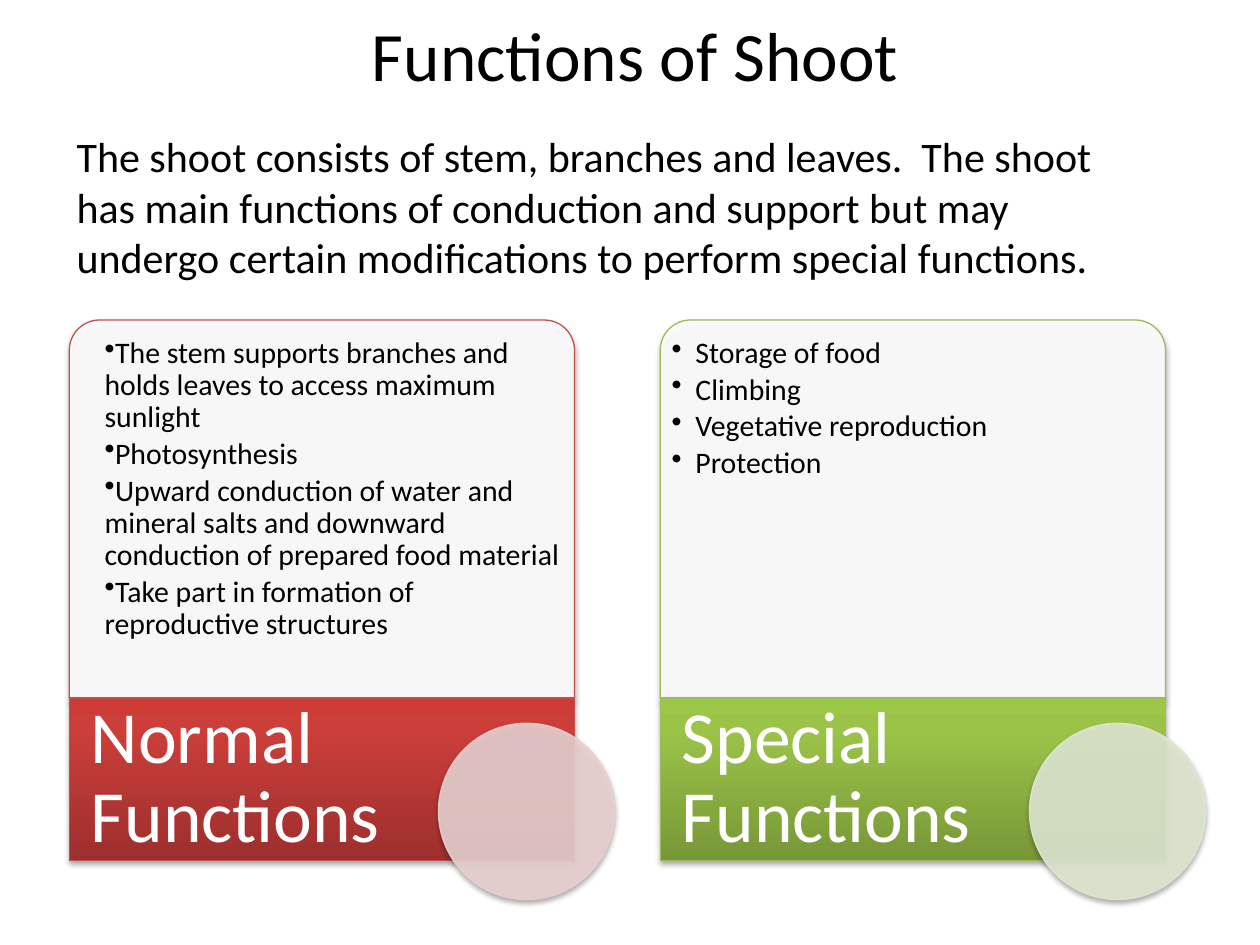
from lxml import etree
from pptx import Presentation
from pptx.dml.color import RGBColor
from pptx.enum import shapes, text
from pptx.oxml import parse_xml
from pptx.oxml.ns import nsdecls, qn
from pptx.util import Inches, Pt

FONT = "Calibri"
COLORS = {"black": "000000", "white": "FFFFFF"}
TITLE = "Functions of Shoot"
INTRO = ("The shoot consists of stem, branches and leaves.  The shoot has main "
         "functions of conduction and support but may undergo certain "
         "modifications to perform special functions.")
CARDS = [
    {"heading": "Normal Functions", "line": "C0504D", "circle": "E8D0D0",
     "gradient": [(0, "9C2F2D"), (80, "CB3E3A"), (100, "CE3B37")], "hanging": 0,
     "points": [
         "The stem supports branches and holds leaves to access maximum sunlight",
         "Photosynthesis",
         "Upward conduction of water and mineral salts and downward conduction "
         "of prepared food material",
         "Take part in formation of reproductive structures"]},
    {"heading": "Special Functions", "line": "9BBB59", "circle": "DEE7D1",
     "gradient": [(0, "779737"), (80, "9BC348"), (100, "9DC746")], "hanging": 0.19,
     "points": ["Storage of food", "Climbing", "Vegetative reproduction",
                "Protection"]},
]
CARD_LEFT, CARD_TOP, CARD_PITCH = 0.55, 2.54, 4.69
CARD_WIDTH, BODY_HEIGHT, BAND_HEIGHT = 4.01, 3.0, 1.29
TEXT_GAP, BULLET_INDENT, CIRCLE_SIZE = 0.07, 0.19, 1.4

deck = Presentation()
deck.slide_width, deck.slide_height = Inches(10), Inches(7.5)
page = deck.slides.add_slide(deck.slide_layouts[6])


def add_text(area, lines, size, color, insets=(0.1, 0.05, 0.1, 0.05),
             anchor=text.MSO_ANCHOR.TOP, align=text.PP_ALIGN.LEFT):
    """Add a wrapped text box with one paragraph for each line."""
    frame = page.shapes.add_textbox(*map(Inches, area)).text_frame
    frame.word_wrap = True
    frame.vertical_anchor = anchor
    (frame.margin_left, frame.margin_top,
     frame.margin_right, frame.margin_bottom) = map(Inches, insets)
    frame.text = "\n".join(lines)
    for para in frame.paragraphs:
        para.alignment = align
        for span in para.runs:
            span.font.name, span.font.size = FONT, Pt(size)
            span.font.color.rgb = RGBColor.from_string(COLORS[color])
    return frame


def add_panel(kind, area, line):
    """Add a thin-lined shape with a soft shadow below it."""
    panel = page.shapes.add_shape(kind, *map(Inches, area))
    panel.line.color.rgb = RGBColor.from_string(line)
    panel.line.width = Pt(0.75)
    panel._element.spPr.append(parse_xml(
        f'<a:effectLst {nsdecls("a")}><a:outerShdw blurRad="{Pt(3.1)}" '
        f'dist="{Pt(1.8)}" dir="5400000" rotWithShape="0"><a:srgbClr val="000000">'
        '<a:alpha val="35000"/></a:srgbClr></a:outerShdw></a:effectLst>'))
    return panel


def make_translucent(color_parent):
    color = color_parent.find(qn("a:solidFill"))[0]
    etree.SubElement(color, qn("a:alpha"), val="90000")


def fill_translucent(panel, color):
    panel.fill.solid()
    panel.fill.fore_color.rgb = RGBColor.from_string(color)
    make_translucent(panel._element.spPr)


def fill_gradient(panel, stops):
    """Fill from bottom to top with the given (percent, colour) stops."""
    marks = "".join(f'<a:gs pos="{place * 1000}"><a:srgbClr val="{color}"/></a:gs>'
                    for place, color in stops)
    panel._element.spPr.find(qn("a:prstGeom")).addnext(parse_xml(
        f'<a:gradFill {nsdecls("a")} rotWithShape="1"><a:gsLst>{marks}</a:gsLst>'
        '<a:lin ang="16200000" scaled="0"/></a:gradFill>'))


def set_bullet(para, hanging):
    props = para._p.get_or_add_pPr()
    props.set("marL", str(Inches(BULLET_INDENT)))
    props.set("indent", str(-Inches(hanging)))
    etree.SubElement(props, qn("a:buChar"), char="•")


def add_card(left, card):
    band_top = CARD_TOP + BODY_HEIGHT

    # Body with the bullet points
    body = add_panel(shapes.MSO_SHAPE.ROUND_2_SAME_RECTANGLE,
                     (left, CARD_TOP, CARD_WIDTH, BODY_HEIGHT), card["line"])
    body.adjustments[0] = 0.08
    fill_translucent(body, COLORS["white"])
    points = add_text((left + TEXT_GAP, CARD_TOP + TEXT_GAP,
                       CARD_WIDTH - 2 * TEXT_GAP, BODY_HEIGHT - TEXT_GAP),
                      card["points"], 17, "black", (0.02, 0.07, 0.02, 0.02))
    for para in points.paragraphs:
        para.line_spacing, para.space_after = 0.9, Pt(2.6)
        set_bullet(para, card["hanging"])

    # Heading band
    band = add_panel(shapes.MSO_SHAPE.RECTANGLE,
                     (left, band_top, CARD_WIDTH, BAND_HEIGHT), card["line"])
    fill_gradient(band, card["gradient"])
    heading = add_text((left, band_top, 2.82, BAND_HEIGHT), [card["heading"]], 42,
                       "white", (0.17, 0, 0.06, 0), text.MSO_ANCHOR.MIDDLE)
    heading.paragraphs[0].line_spacing = 0.9

    # Circle over the corner of the band
    circle = add_panel(shapes.MSO_SHAPE.OVAL,
                       (left + 2.93, band_top + 0.2, CIRCLE_SIZE, CIRCLE_SIZE),
                       card["circle"])
    fill_translucent(circle, card["circle"])
    make_translucent(circle._element.spPr.find(qn("a:ln")))


# Title, cards and introduction
add_text((0.54, 0.06, 9, 0.74), [TITLE], 39.6, "black",
         anchor=text.MSO_ANCHOR.MIDDLE, align=text.PP_ALIGN.CENTER)
for number, card in enumerate(CARDS):
    add_card(CARD_LEFT + number * CARD_PITCH, card)
add_text((0.51, 0.99, 8.66, 1.31), [INTRO], 24, "black")

deck.save("out.pptx")
